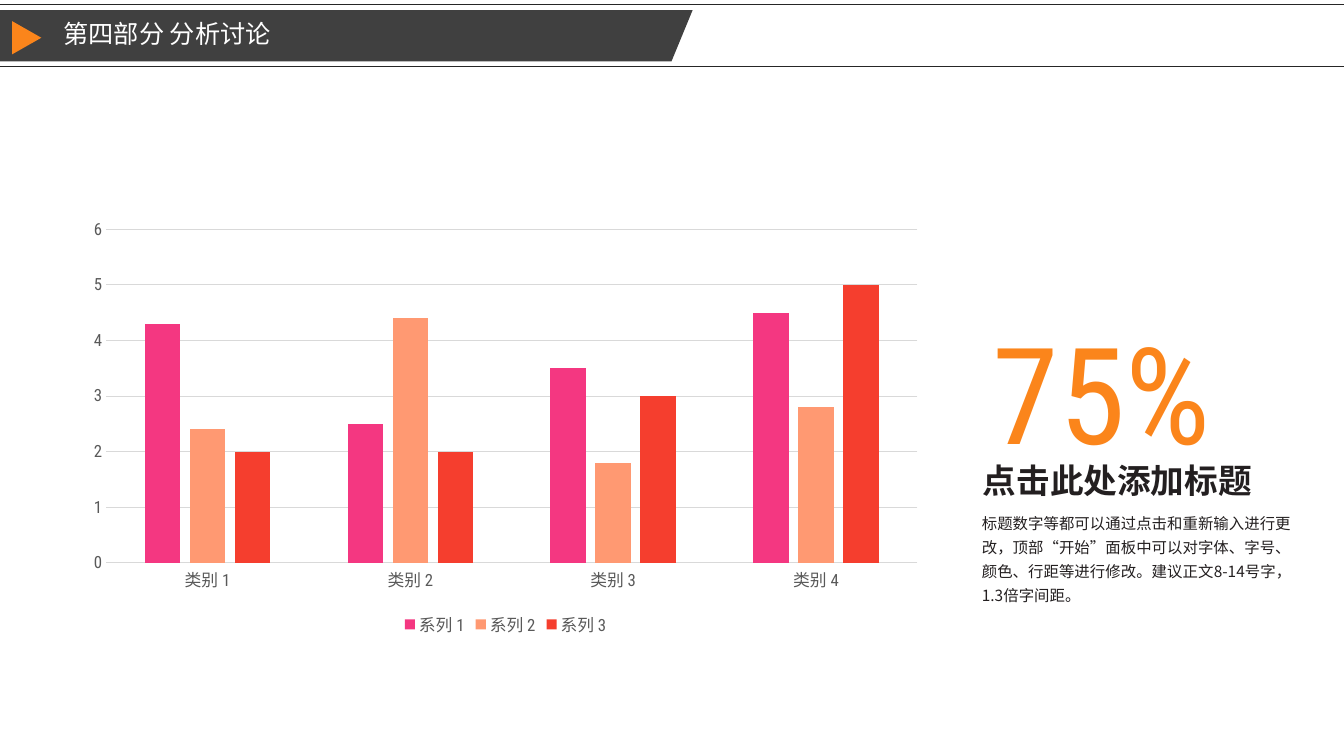
from lxml import etree
from pptx import Presentation
from pptx import util as u
from pptx.chart.data import CategoryChartData
from pptx.dml.color import RGBColor
from pptx.enum import chart as ch, shapes, text
from pptx.oxml.ns import qn

INK, GREY, GRID, ORANGE = "231F20", "595959", "D9D9D9", "FB851B"
HEAD_FONT, BODY_FONT = "Roboto Condensed", "Noto Sans CJK SC"


def rgb(value):
    return RGBColor.from_string(value)


class SlideBuilder:
    def __init__(self, prs):
        self.s = prs.slides.add_slide(prs.slide_layouts[5])
        self.width = prs.slide_width

    def font(self, font, size, color, name=HEAD_FONT, bold=False):
        font.size = u.Pt(size)
        font.name = name
        font.bold = bold
        font.color.rgb = rgb(color)

    def line(self, y, color="262626"):
        sp = self.s.shapes.add_connector(
            shapes.MSO_CONNECTOR.STRAIGHT, 0, u.Inches(y), self.width, u.Inches(y))
        sp.line.color.rgb = rgb(color)
        sp.line.width = u.Pt(0.5)
        etree.SubElement(sp._element.spPr, qn("a:effectLst"))

    def paint(self, sp, color):
        sp.shadow.inherit = False
        sp.fill.solid()
        sp.fill.fore_color.rgb = rgb(color)
        sp.line.fill.background()

    def band(self, points, color):
        (x, y), *rest = [(u.Inches(px), u.Inches(py)) for px, py in points]
        outline = self.s.shapes.build_freeform(x, y)
        outline.add_line_segments(rest, close=True)
        self.paint(outline.convert_to_shape(), color)

    def marker(self, box, color):
        sp = self.s.shapes.add_shape(
            shapes.MSO_SHAPE.ISOSCELES_TRIANGLE, *map(u.Inches, box))
        sp.rotation = 90
        self.paint(sp, color)

    def title(self, words, box, size, color):
        sp = self.s.shapes.title
        self.s.shapes._spTree.append(sp._element)
        sp.left, sp.top, sp.width, sp.height = map(u.Inches, box)
        tf = sp.text_frame
        tf.text = words
        tf.auto_size = text.MSO_AUTO_SIZE.NONE
        tf.vertical_anchor = text.MSO_ANCHOR.MIDDLE
        p = tf.paragraphs[0]
        p.alignment = text.PP_ALIGN.LEFT
        p.line_spacing = 0.9
        self.font(p.font, size, color)

    def text(self, words, box, size, color, wrap=True, spacing=None, **style):
        tf = self.s.shapes.add_textbox(*map(u.Inches, box)).text_frame
        tf.word_wrap = wrap
        tf.auto_size = text.MSO_AUTO_SIZE.SHAPE_TO_FIT_TEXT
        p = tf.paragraphs[0]
        p.text = words
        p.line_spacing = spacing
        self.font(p.font, size, color, **style)

    def columns(self, box, categories, series):
        data = CategoryChartData()
        data.categories = categories
        for name, _, values in series:
            data.add_series(name, values)
        chart = self.s.shapes.add_chart(
            ch.XL_CHART_TYPE.COLUMN_CLUSTERED, *map(u.Inches, box), data).chart
        chart.has_title = False
        self.font(chart.font, 12, GREY)
        chart.has_legend = True
        chart.legend.position = ch.XL_LEGEND_POSITION.BOTTOM
        chart.legend.include_in_layout = False
        self.font(chart.legend.font, 12, GREY)

        plot = chart.plots[0]
        plot.vary_by_categories = False
        plot.gap_width = 219
        plot.overlap = -27
        for item, (_, color, _) in zip(plot.series, series):
            item.format.fill.solid()
            item.format.fill.fore_color.rgb = rgb(color)
            item.invert_if_negative = False

        cat, val = chart.category_axis, chart.value_axis
        for axis in (cat, val):
            axis.major_tick_mark = axis.minor_tick_mark = ch.XL_TICK_MARK.NONE
            self.font(axis.tick_labels.font, 12, GREY)
        val.minimum_scale, val.maximum_scale, val.major_unit = 0, 6, 1
        val.format.line.fill.background()
        val.has_major_gridlines = True
        for rule in (cat.format.line, val.major_gridlines.format.line):
            rule.color.rgb = rgb(GRID)
            rule.width = u.Pt(0.75)


def main():
    prs = Presentation()
    prs.slide_width, prs.slide_height = u.Inches(13.33), u.Inches(7.5)
    s = SlideBuilder(prs)

    for y in (0.04, 0.66):
        s.line(y)
    s.band([(0, 0.1), (6.87, 0.1), (6.66, 0.61), (0, 0.61)], "404040")
    s.marker((0.1, 0.23, 0.33, 0.29), ORANGE)
    s.title("第四部分 分析讨论", (0.53, 0.1, 5.91, 0.51), 18, "FFFFFF")

    s.text("75%", (9.75, 3.03, 2.38, 1.72), 96, ORANGE, wrap=False)
    s.text("点击此处添加标题", (9.65, 4.51, 3.16, 0.5), 24, INK, bold=True)
    s.text("标题数字等都可以通过点击和重新输入进行更改，顶部“开始”面板中可以对字体、"
           "字号、颜色、行距等进行修改。建议正文8-14号字，1.3倍字间距。",
           (9.64, 5, 3.31, 1.06), 11, INK, spacing=1.3, name=BODY_FONT)

    s.columns((0.76, 2.09, 8.51, 4.27),
              [f"类别 {n}" for n in range(1, 5)],
              [("系列 1", "F43781", (4.3, 2.5, 3.5, 4.5)),
               ("系列 2", "FF9972", (2.4, 4.4, 1.8, 2.8)),
               ("系列 3", "F53E2E", (2, 2, 3, 5))])

    prs.save("out.pptx")


if __name__ == "__main__":
    main()
